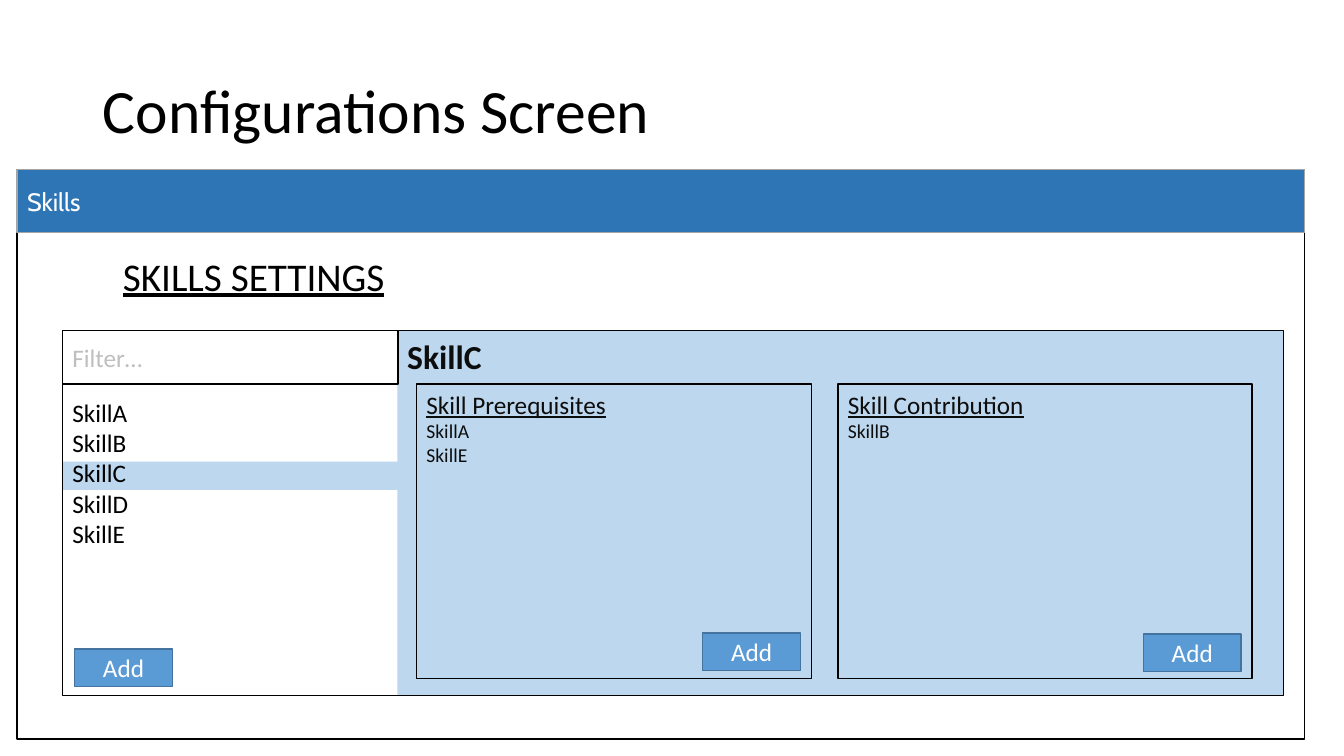
import pptx
import pptx.util
import pptx.dml.color
import pptx.enum.shapes
import pptx.enum.text
from pptx.util import Inches, Pt

COLORS = {
    "black": "000000",
    "white": "FFFFFF",
    "header": "2E75B6",
    "header_line": "A5A5A5",
    "panel": "BDD7EE",
    "panel_text": "0D0D0D",
    "button": "5B9BD5",
    "button_line": "43739E",
    "hint": "BFBFBF",
}
ALIGN = pptx.enum.text.PP_ALIGN
ANCHOR = pptx.enum.text.MSO_ANCHOR


def write_text(shape, lines, color, sizes, font="Calibri", anchor=ANCHOR.TOP, align=ALIGN.LEFT):
    frame = shape.text_frame
    frame.word_wrap = True
    frame.vertical_anchor = anchor
    frame.text = "\n".join(lines)
    for index, paragraph in enumerate(frame.paragraphs):
        paragraph.alignment = align
        for run in paragraph.runs:
            run.font.name = font
            run.font.size = Pt(sizes[min(index, len(sizes) - 1)])
            run.font.color.rgb = pptx.dml.color.RGBColor.from_string(COLORS[color])
    return frame.paragraphs[0].runs[0].font


def add_box(left, top, width, height, fill=None, line=None):
    shape = slide.shapes.add_shape(
        pptx.enum.shapes.MSO_SHAPE.RECTANGLE,
        Inches(left), Inches(top), Inches(width), Inches(height))
    shape.shadow.inherit = False
    if fill:
        shape.fill.solid()
        shape.fill.fore_color.rgb = pptx.dml.color.RGBColor.from_string(COLORS[fill])
    else:
        shape.fill.background()
    if line:
        shape.line.color.rgb = pptx.dml.color.RGBColor.from_string(COLORS[line])
        shape.line.width = Pt(1)
    else:
        shape.line.fill.background()
    return shape


presentation = pptx.Presentation()
presentation.slide_width = Inches(13.33)
presentation.slide_height = Inches(7.5)
slide = presentation.slides.add_slide(presentation.slide_layouts[5])

title = slide.shapes.title
title.left, title.top = Inches(0.92), Inches(0.4)
title.width, title.height = Inches(11.5), Inches(1.45)
write_text(title, ["Configurations Screen"], "black", [44], anchor=ANCHOR.MIDDLE)
title.text_frame.paragraphs[0].line_spacing = 0.9

add_box(0.17, 1.68, 12.77, 5.65, "white", "black")
header = add_box(0.17, 1.68, 12.77, 0.63, "header", "header_line")
write_text(header, ["Skills"], "white", [18], font="Cabin", anchor=ANCHOR.MIDDLE)

heading = slide.shapes.add_textbox(Inches(1.12), Inches(2.45), Inches(4.51), Inches(0.57))
write_text(heading, ["SKILLS SETTINGS"], "black", [28]).underline = True

add_box(0.62, 4.58, 3.33, 0.28, "panel")
detail_panel = add_box(3.94, 3.28, 8.79, 3.62, "panel")
write_text(detail_panel, ["SkillC"], "panel_text", [24]).bold = True

skill_list = add_box(0.62, 3.28, 12.11, 3.62, line="black")
write_text(skill_list, ["SkillA", "SkillB", "SkillC", "SkillD", "SkillE"], "black", [18])
skill_list.text_frame.margin_top = Inches(0.66)

for left, width, lines in [
    (4.13, 3.92, ["Skill Prerequisites", "SkillA", "SkillE"]),
    (8.31, 4.11, ["Skill Contribution", "SkillB"]),
]:
    card = add_box(left, 3.81, width, 2.92, line="black")
    write_text(card, lines, "panel_text", [18, 14]).underline = True

for left, top in [(6.97, 6.28), (11.34, 6.29), (0.74, 6.44)]:
    button = add_box(left, top, 0.97, 0.37, "button", "button_line")
    write_text(button, ["Add"], "white", [18], anchor=ANCHOR.MIDDLE, align=ALIGN.CENTER)

filter_box = add_box(0.62, 3.28, 3.33, 0.53, "white", "black")
write_text(filter_box, ["Filter…"], "hint", [18], anchor=ANCHOR.MIDDLE)

presentation.save("out.pptx")
